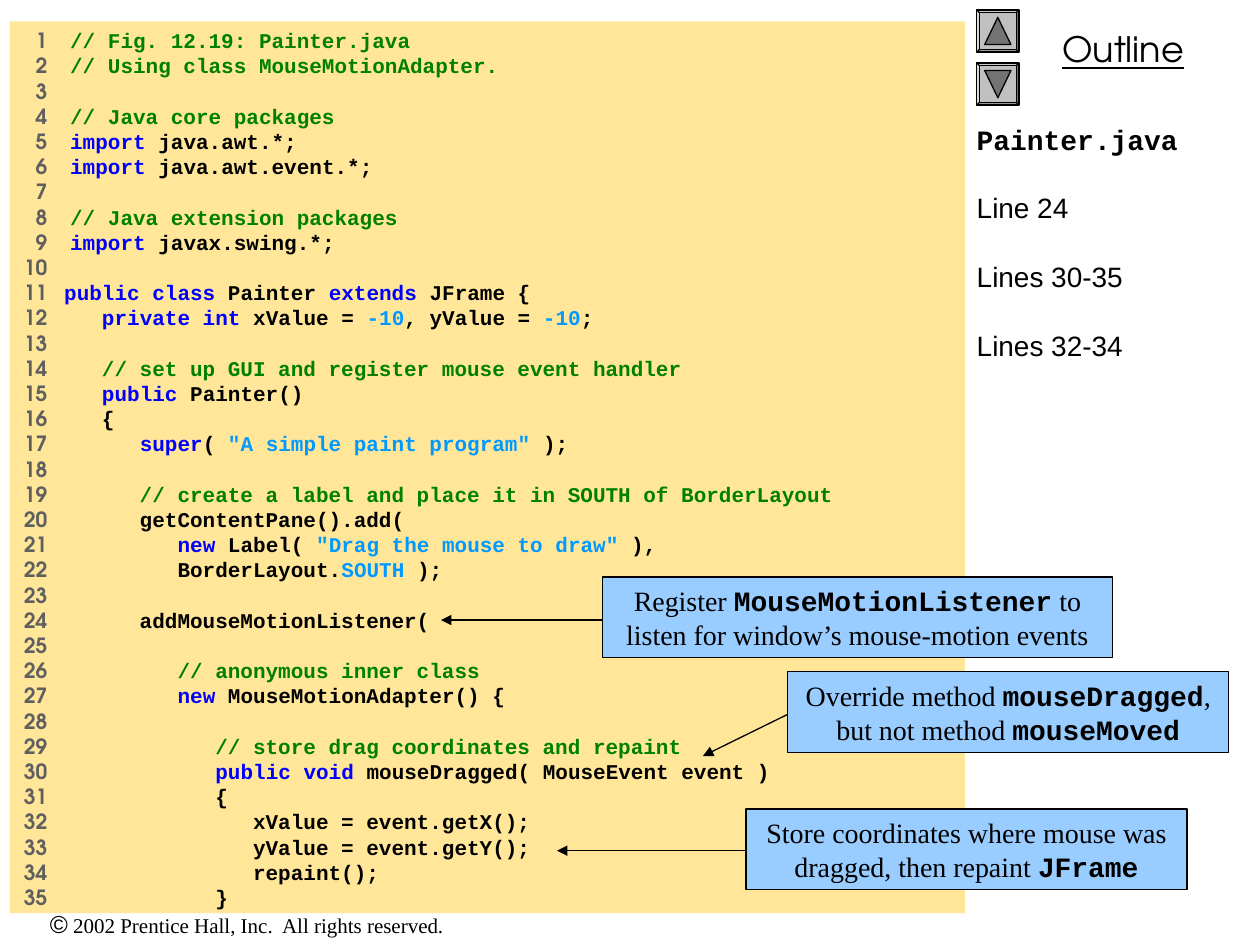
"""Build the Painter.java code slide."""
import pptx
import pptx.dml.color
import pptx.enum.shapes
import pptx.enum.text
import pptx.oxml
import pptx.oxml.ns
import pptx.util

Cm = pptx.util.Cm
Pt = pptx.util.Pt
SHAPE = pptx.enum.shapes.MSO_SHAPE
ALIGN = pptx.enum.text.PP_ALIGN
ANCHOR = pptx.enum.text.MSO_ANCHOR
MONO, SANS, SERIF, GEO = "Courier New", "Arial", "Times New Roman", "TeX Gyre Adventor"
BLACK, GRAY, GREEN, BLUE, SKY = "000000", "5F5F5F", "008000", "0000FF", "0099FF"

CODE = [
    "// Fig. 12.19: Painter.java",
    "// Using class MouseMotionAdapter.",
    "",
    "// Java core packages",
    "`import` java.awt.*;",
    "`import` java.awt.event.*;",
    "",
    "// Java extension packages",
    "`import` javax.swing.*;",
    "",
    "`public class` Painter `extends` JFrame {",
    "   `private int` xValue = ^-10^, yValue = ^-10^;",
    "",
    "   // set up GUI and register mouse event handler",
    "   `public` Painter()",
    "   {",
    '      `super`( ^"A simple paint program"^ );',
    "",
    "      // create a label and place it in SOUTH of BorderLayout",
    "      getContentPane().add(",
    '         `new` Label( ^"Drag the mouse to draw"^ ),',
    "         BorderLayout.^SOUTH^ );",
    "",
    "      addMouseMotionListener(",
    "",
    "         // anonymous inner class",
    "         `new` MouseMotionAdapter() {",
    "",
    "            // store drag coordinates and repaint",
    "            `public void` mouseDragged( MouseEvent event )",
    "            {",
    "               xValue = event.getX();",
    "               yValue = event.getY();",
    "               repaint();",
    "            }",
]

NOTES = [
    ((12.14, 11.63, 10.29), (12.14, 12.5, 8.89, 12.5),
     "Register `MouseMotionListener` to listen for window’s mouse-motion events"),
    ((15.88, 13.54, 8.89), (15.88, 14.4, 14.17, 15.24),
     "Override method `mouseDragged`, but not method `mouseMoved`"),
    ((15.04, 16.31, 8.89), (15.04, 17.15, 11.23, 17.15),
     "Store coordinates where mouse was dragged, then repaint `JFrame`"),
]


def paint(fill, color):
    """Give a fill a solid colour."""
    fill.solid()
    fill.fore_color.rgb = pptx.dml.color.RGBColor.from_string(color)


def write(para, text, face, size, color=BLACK, bold=False):
    """Add one formatted run and return it."""
    run = para.add_run()
    run.text = text
    font = run.font
    font.name, font.size, font.bold = face, Pt(size), bold
    paint(font.fill, color)
    return run


def place(shape, left, top, width, height):
    """Move and size a shape."""
    shape.left, shape.top = Cm(left), Cm(top)
    shape.width, shape.height = Cm(width), Cm(height)


def frame(shape, anchor=ANCHOR.TOP):
    """Set wrapping and anchoring and return the text frame."""
    body = shape.text_frame
    body.word_wrap = True
    body.auto_size = pptx.enum.text.MSO_AUTO_SIZE.NONE
    body.vertical_anchor = anchor
    return body


def lines(body, count):
    """Return the given number of paragraphs, adding those that lack."""
    return [body.paragraphs[0]] + [body.add_paragraph() for _ in range(count - 1)]


def tabs(para, stops):
    """Add tab stops given as pairs of position and alignment."""
    tags = "".join(f'<a:tab pos="{Cm(pos)}" algn="{algn}"/>' for pos, algn in stops)
    space = pptx.oxml.ns.nsdecls("a")
    para._p.get_or_add_pPr().append(
        pptx.oxml.parse_xml(f"<a:tabLst {space}>{tags}</a:tabLst>"))


def tint(para, line):
    """Write code: comments green, `keywords` blue, ^literals^ sky."""
    if line.lstrip().startswith("//"):
        write(para, line, MONO, 12, GREEN, True)
        return
    for i, part in enumerate(line.split("`")):
        for j, text in enumerate(part.split("^")):
            if text:
                color = BLUE if i % 2 else SKY if j % 2 else BLACK
                write(para, text, MONO, 12, color, True)


def listing(shape):
    """Fill the title with the numbered code."""
    place(shape, 0.2, 0.43, 19.25, 17.98)
    paint(shape.fill, "FFE699")
    paras = lines(frame(shape), len(CODE))
    for num, (para, row) in enumerate(zip(paras, CODE), 1):
        tabs(para, [(0.5, "r"), (0.96 if num < 10 else 0.84, "l")])
        para.alignment = ALIGN.LEFT
        write(para, f"\t{num}" + ("\t" if row else ""), GEO, 12, GRAY, True)
        tint(para, row)


def index(shape):
    """Fill the side list with the file name and line numbers."""
    place(shape, 19.69, 2.34, 5.72, 16.71)
    body = frame(shape)
    body.margin_left = 0
    items = ["Painter.java", "Line 24", "Lines 30-35", "Lines 32-34"]
    for num, (para, item) in enumerate(zip(lines(body, len(items)), items)):
        para.alignment = ALIGN.LEFT
        para.space_before = Pt(20 if num else 0)
        write(para, item, SANS if num else MONO, 16, bold=not num)


def label(slide, area):
    """Add a centred text box and return its paragraph."""
    body = frame(slide.shapes.add_textbox(*map(Cm, area)))
    para = body.paragraphs[0]
    para.alignment = ALIGN.CENTER
    return para


def block(slide, kind, area, color):
    """Add a filled shape with a thin black outline."""
    shape = slide.shapes.add_shape(kind, *map(Cm, area))
    shape.shadow.inherit = False
    paint(shape.fill, color)
    paint(shape.line.fill, BLACK)
    shape.line.width = Pt(0.75)
    return shape


def button(slide, top, turn):
    """Add a bevelled button with a triangle."""
    base = block(slide, SHAPE.BEVEL, (19.69, top, 0.85, 0.85), "C0C0C0")
    base.adjustments[0] = 0.06
    mark = block(slide, SHAPE.ISOSCELES_TRIANGLE, (19.85, top + 0.15, 0.53, 0.55), "737373")
    mark.rotation = turn


def arrow(slide, ends):
    """Add a thin line with a triangle at its end."""
    line = slide.shapes.add_connector(
        pptx.enum.shapes.MSO_CONNECTOR.STRAIGHT, *map(Cm, ends))
    paint(line.line.fill, BLACK)
    line.line.width = Pt(0.75)
    space = pptx.oxml.ns.nsdecls("a")
    line.line._get_or_add_ln().append(
        pptx.oxml.parse_xml(f'<a:tailEnd {space} type="triangle"/>'))
    line._element.spPr.append(pptx.oxml.parse_xml(f"<a:effectLst {space}/>"))


def note(slide, spot, ends, text):
    """Add a callout and its arrow."""
    shape = block(slide, SHAPE.RECTANGLE, (*spot, 1.63), "99CCFF")
    para = frame(shape, ANCHOR.MIDDLE).paragraphs[0]
    para.alignment = ALIGN.CENTER
    for num, part in enumerate(text.split("`")):
        if part:
            write(para, part, MONO if num % 2 else SERIF, 16, bold=bool(num % 2))
    arrow(slide, ends)


def main():
    """Build and save the slide."""
    deck = pptx.Presentation()
    deck.slide_width, deck.slide_height = Cm(25.4), Cm(19.05)
    slide = deck.slides.add_slide(deck.slide_layouts[0])
    listing(slide.shapes.title)
    index(slide.placeholders[1])
    foot = label(slide, (0, 18.21, 9.96, 0.86))
    write(foot, "©", SANS, 14)
    write(foot, " 2002 Prentice Hall, Inc.  All rights reserved.", SERIF, 12)
    head = label(slide, (19.89, 0.43, 5.51, 1.12))
    write(head, "Outline", GEO, 20).font.underline = True
    button(slide, 0.2, 0)
    button(slide, 1.27, 180)
    for item in NOTES:
        note(slide, *item)
    deck.save("out.pptx")


if __name__ == "__main__":
    main()
